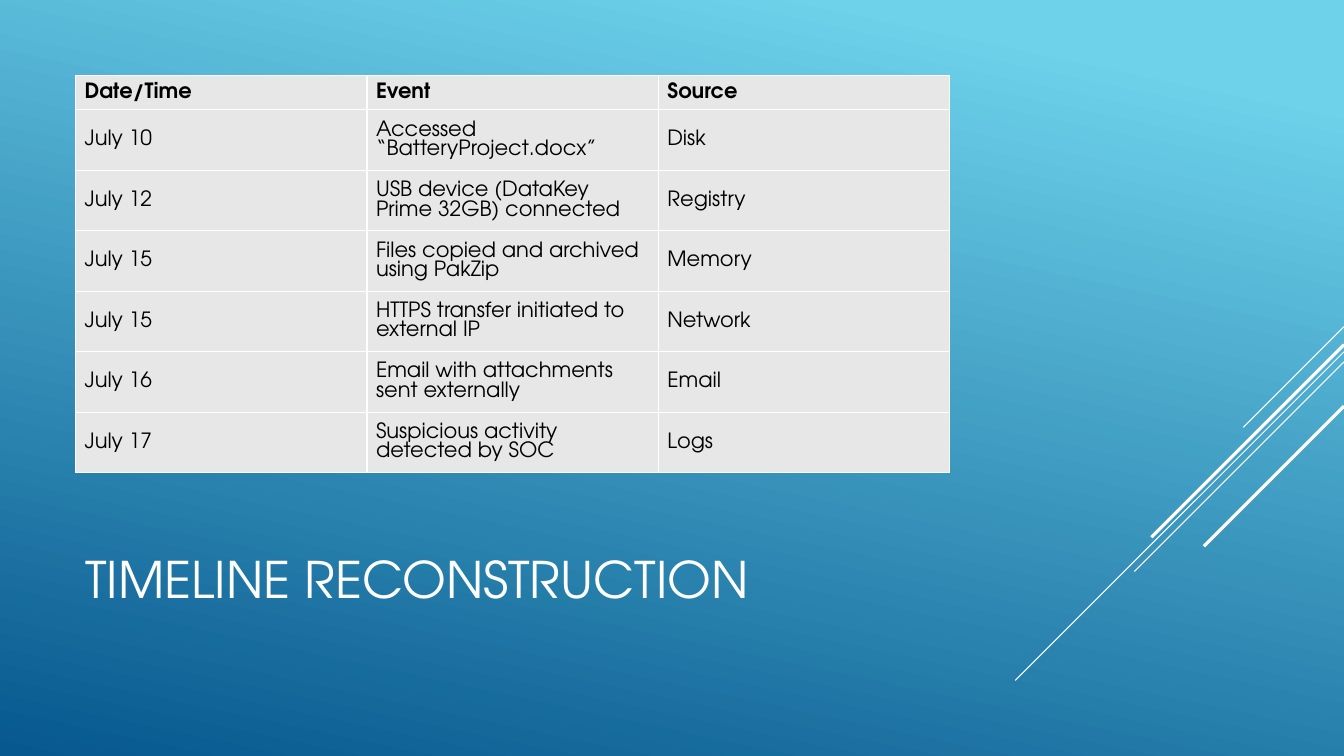
"""Build the timeline reconstruction slide with its event table."""
from typing import NamedTuple

from pptx import Presentation
from pptx.dml.color import RGBColor
from pptx.enum.shapes import MSO_CONNECTOR as Connector
from pptx.enum.text import MSO_ANCHOR as Anchor
from pptx.oxml import parse_xml
from pptx.oxml.ns import nsdecls
from pptx.slide import Slide
from pptx.text.text import _Paragraph as Paragraph
from pptx.util import Inches, Pt

FONT = "TeX Gyre Adventor"
WHITE, BLACK, CELL_GRAY = "FFFFFF", "000000", "E7E7E7"
SKY, NAVY = "6ED2EB", "06588E"
PAGE_WIDTH, PAGE_HEIGHT = 13.33, 7.5
MARGIN = 0.75
COLUMN_WIDTH, HEADER_HEIGHT, ROW_HEIGHT = 2.89, 0.34, 0.6


class Event(NamedTuple):
    """One row of the timeline."""
    date: str
    event: str
    source: str


class Streak(NamedTuple):
    """A 45 degree line running down and left from the right edge."""
    top: float
    run: float
    weight: float


EVENTS = [
    Event("Date/Time", "Event", "Source"),
    Event("July 10", "Accessed “BatteryProject.docx”", "Disk"),
    Event("July 12", "USB device (DataKey Prime 32GB) connected", "Registry"),
    Event("July 15", "Files copied and archived using PakZip", "Memory"),
    Event("July 15", "HTTPS transfer initiated to external IP", "Network"),
    Event("July 16", "Email with attachments sent externally", "Email"),
    Event("July 17", "Suspicious activity detected by SOC", "Logs"),
]

STREAKS = [
    Streak(3.24, 1.0, 0.75),
    Streak(3.49, 3.26, 0.75),
    Streak(3.59, 2.08, 0.75),
    Streak(3.42, 1.91, 2.25),
    Streak(4.03, 1.39, 2.25),
]


def color(value: str) -> RGBColor:
    """Turn a hex string into a colour."""
    return RGBColor.from_string(value)


def style(para: Paragraph, size: float, ink: str, bold: bool = False) -> None:
    """Set the font of a whole paragraph."""
    font = para.font
    font.name, font.size, font.bold = FONT, Pt(size), bold
    font.color.rgb = color(ink)


def paint_background(page: Slide) -> None:
    """Fill the page with a gradient from sky to navy."""
    fill = page.background.fill
    fill.gradient()
    fill.gradient_angle = 360 - 102
    for stop, position, shade in zip(fill.gradient_stops, (0.1, 1), (SKY, NAVY)):
        stop.position = position
        stop.color.rgb = color(shade)


def draw_streak(page: Slide, streak: Streak) -> None:
    """Draw one diagonal line."""
    line = page.shapes.add_connector(
        Connector.STRAIGHT, Inches(PAGE_WIDTH), Inches(streak.top),
        Inches(PAGE_WIDTH - streak.run), Inches(streak.top + streak.run))
    line.line.color.rgb = color(WHITE)
    line.line.width = Pt(streak.weight)
    line._element.spPr.append(parse_xml(f"<a:effectLst {nsdecls('a')}/>"))


def draw_title(page: Slide, text: str) -> None:
    """Write the slide title."""
    box = page.shapes.add_textbox(
        Inches(MARGIN), Inches(4.91), Inches(9.33), Inches(1.65))
    frame = box.text_frame
    frame.word_wrap = True
    frame.vertical_anchor = Anchor.MIDDLE
    frame.text = text
    style(frame.paragraphs[0], 36, WHITE)


def draw_table(page: Slide, events: list[Event]) -> None:
    """Draw the events as a table under a bold header row."""
    columns = len(Event._fields)
    height = HEADER_HEIGHT + ROW_HEIGHT * (len(events) - 1)
    table = page.shapes.add_table(
        len(events), columns, Inches(MARGIN), Inches(MARGIN),
        Inches(COLUMN_WIDTH * columns), Inches(height)).table
    table.first_row = table.horz_banding = False
    for column in table.columns:
        column.width = Inches(COLUMN_WIDTH)
    for index, event in enumerate(events):
        is_header = index == 0
        table.rows[index].height = Inches(HEADER_HEIGHT if is_header else ROW_HEIGHT)
        for cell, text in zip(table.rows[index].cells, event):
            cell.text = text
            cell.vertical_anchor = Anchor.MIDDLE
            cell.margin_left = cell.margin_right = Inches(0.09)
            cell.margin_top = cell.margin_bottom = Inches(0.04)
            for side in "LRTB":
                cell._tc.get_or_add_tcPr().append(parse_xml(
                    f'<a:ln{side} {nsdecls("a")} w="{Pt(1)}"><a:solidFill>'
                    f'<a:srgbClr val="{WHITE}"/></a:solidFill></a:ln{side}>'))
            cell.fill.solid()
            cell.fill.fore_color.rgb = color(CELL_GRAY)
            style(cell.text_frame.paragraphs[0], 15, BLACK, is_header)


def main() -> None:
    """Build and save the deck."""
    deck = Presentation()
    deck.slide_width, deck.slide_height = Inches(PAGE_WIDTH), Inches(PAGE_HEIGHT)
    page = deck.slides.add_slide(deck.slide_layouts[6])
    paint_background(page)
    for streak in STREAKS:
        draw_streak(page, streak)
    draw_title(page, "TIMELINE RECONSTRUCTION")
    draw_table(page, EVENTS)
    deck.save("out.pptx")


if __name__ == "__main__":
    main()
